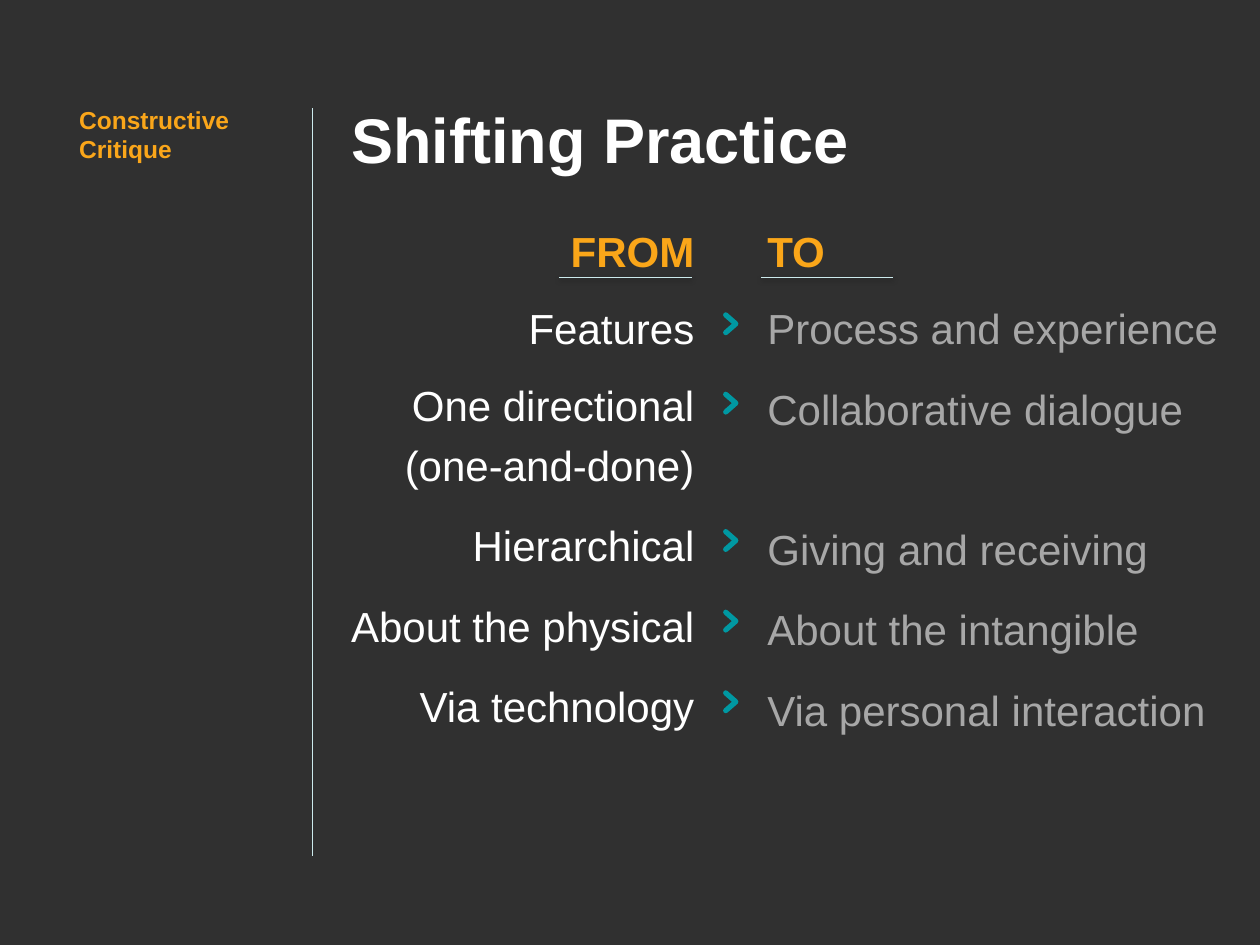
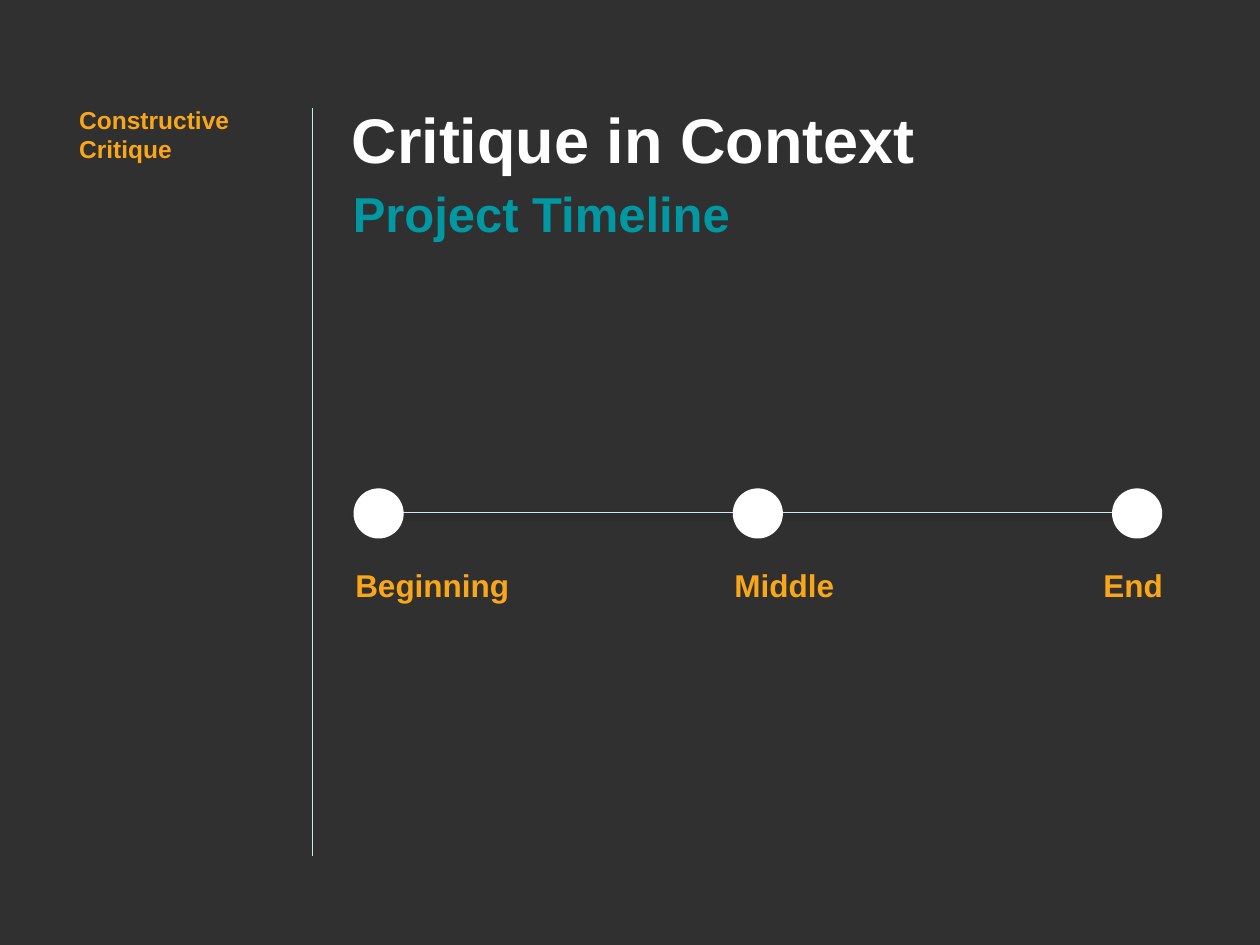
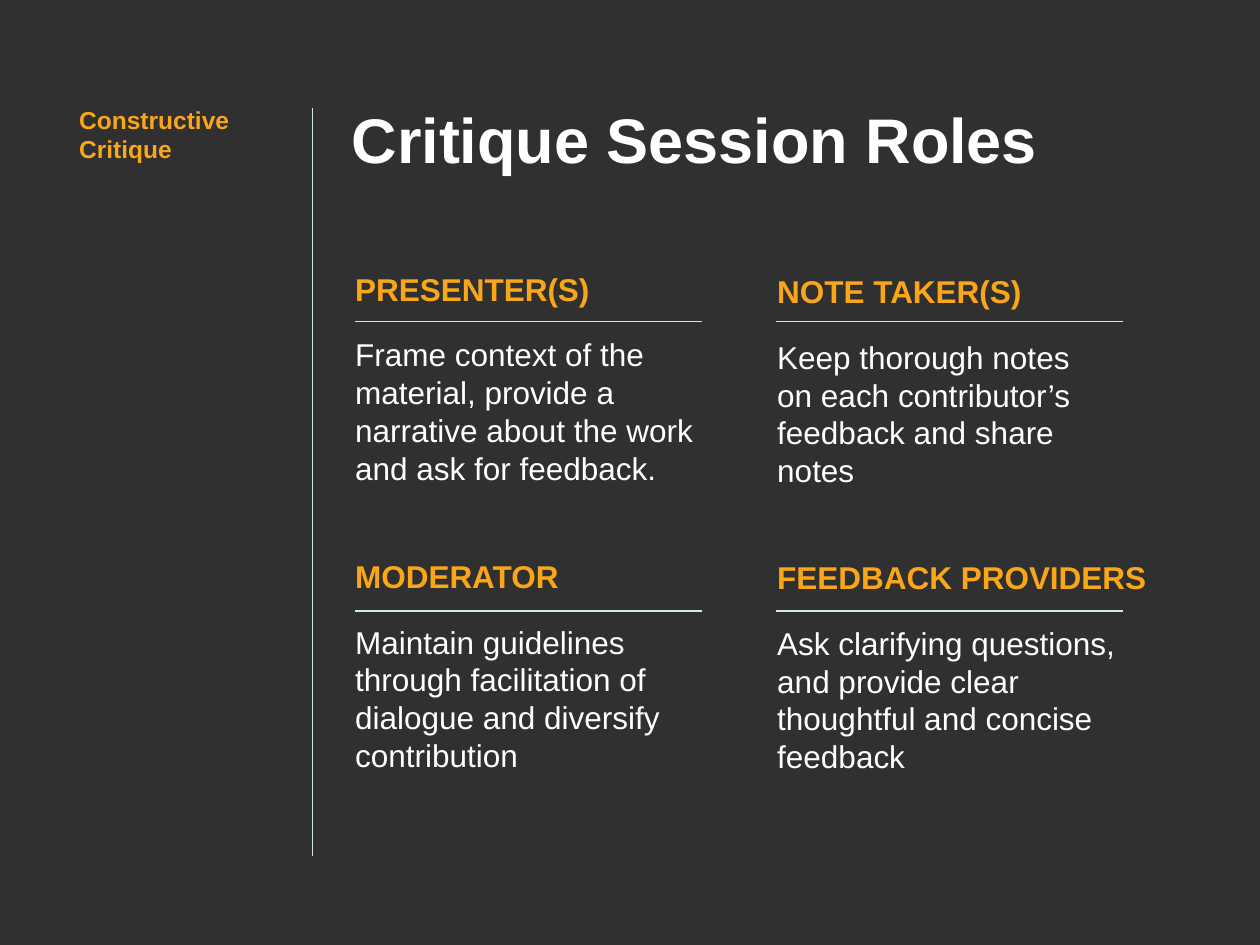
from dataclasses import dataclass

from lxml.etree import SubElement
from pptx import Presentation
from pptx.dml.color import RGBColor
from pptx.enum.shapes import MSO_CONNECTOR, MSO_SHAPE
from pptx.enum.text import MSO_ANCHOR, PP_ALIGN
from pptx.oxml.ns import qn
from pptx.util import Inches, Pt

FONT = "Arial"
BACKGROUND = "303030"
WHITE = "FFFFFF"
GREY = "A7A7A7"
ORANGE = "FAA619"
TAG_ORANGE = "FAA61A"
TEAL = "0098A2"
RULE = "CCEAEC"


@dataclass
class Para:
    text: str
    color: str = WHITE
    bold: bool = False
    before: float = 0


@dataclass
class TextBlock:
    left: float
    top: float
    width: float
    height: float
    paras: list[Para]
    size: float = 18
    inset_x: float = 0.1
    inset_y: float = 0.1
    align: PP_ALIGN = PP_ALIGN.LEFT
    leading: float | None = None


def rgb(color: str) -> RGBColor:
    return RGBColor.from_string(color)


def style_font(font, size: float, color: str, bold: bool) -> None:
    font.name = FONT
    font.size = Pt(size)
    font.bold = bold
    font.color.rgb = rgb(color)


def set_insets(tf, x: float, y: float) -> None:
    tf.margin_left = tf.margin_right = Inches(x)
    tf.margin_top = tf.margin_bottom = Inches(y)


def add_text(s, block: TextBlock) -> None:
    box = s.shapes.add_textbox(Inches(block.left), Inches(block.top),
                               Inches(block.width), Inches(block.height))
    tf = box.text_frame
    tf.word_wrap = True
    set_insets(tf, block.inset_x, block.inset_y)
    for i, para in enumerate(block.paras):
        p = tf.add_paragraph() if i else tf.paragraphs[0]
        p.text = para.text
        p.alignment = block.align
        p.space_before = Pt(para.before)
        if block.leading:
            p.line_spacing = Pt(block.leading)
        style_font(p.runs[0].font, block.size, para.color, para.bold)


def add_rule(s, x1: float, y1: float, x2: float, y2: float, shadow: bool = False) -> None:
    rule = s.shapes.add_connector(MSO_CONNECTOR.STRAIGHT, Inches(x1), Inches(y1),
                                  Inches(x2), Inches(y2))
    rule.line.color.rgb = rgb(RULE)
    rule.line.width = Pt(0.75)
    effects = SubElement(rule._element.spPr, qn("a:effectLst"))
    if shadow:
        outer = SubElement(effects, qn("a:outerShdw"), blurRad=str(Pt(3)), dist=str(Pt(1.6)),
                           dir="5400000", rotWithShape="0")
        black = SubElement(outer, qn("a:srgbClr"), val="000000")
        SubElement(black, qn("a:alpha"), val="38000")


def add_chevron(s, left: float, top: float) -> None:
    builder = s.shapes.build_freeform(Inches(left), Inches(top))
    builder.add_line_segments([(Inches(left + 0.08), Inches(top + 0.07)),
                               (Inches(left), Inches(top + 0.14))], close=False)
    chevron = builder.convert_to_shape()
    chevron.shadow.inherit = False
    chevron.fill.background()
    chevron.line.color.rgb = rgb(TEAL)
    chevron.line.width = Pt(3)
    chevron.line._get_or_add_ln().set("cap", "rnd")


def add_dot(s, left: float, top: float, size: float) -> None:
    dot = s.shapes.add_shape(MSO_SHAPE.OVAL, Inches(left), Inches(top),
                             Inches(size), Inches(size))
    dot.shadow.inherit = False
    dot.fill.solid()
    dot.fill.fore_color.rgb = rgb(WHITE)
    dot.line.color.rgb = rgb(WHITE)
    dot.line.width = Pt(2)


def new_slide(prs, title: str):
    """Add a slide with the title, side tag and vertical divider all slides share."""
    s = prs.slides.add_slide(prs.slide_layouts[5])
    sp = s.shapes.title
    sp.left, sp.top = Inches(2.69), Inches(0.68)
    sp.width, sp.height = Inches(6.17), Inches(0.84)
    tf = sp.text_frame
    tf.text = title
    tf.word_wrap = True
    tf.vertical_anchor = MSO_ANCHOR.MIDDLE
    set_insets(tf, 0.1, 0.1)
    p = tf.paragraphs[0]
    p.alignment = PP_ALIGN.LEFT
    style_font(p.runs[0].font, 36, WHITE, True)
    add_text(s, TextBlock(0.53, 0.73, 1.79, 0.67,
                          [Para("Constructive Critique", TAG_ORANGE, True)], size=14))
    add_rule(s, 2.48, 0.86, 2.48, 6.79)
    return s


def build_shifting_practice(prs) -> None:
    s = new_slide(prs, "Shifting Practice")
    for x in (4.44, 6.04):
        add_rule(s, x, 2.2, x + 1.05, 2.2, shadow=True)
    from_paras = [
        Para("FROM", ORANGE, True),
        Para("Features", before=10),
        Para("One directional (one-and-done)", before=10),
        Para("Hierarchical", before=12),
        Para("About the physical", before=12),
        Para("Via technology", before=12),
    ]
    leading = 34
    to_paras = [
        Para("TO", ORANGE, True),
        Para("Process and experience", GREY, before=10),
        Para("Collaborative dialogue", GREY, before=12),
        Para("Giving and receiving", GREY, before=12 + leading),
        Para("About the intangible", GREY, before=12),
        Para("Via personal interaction", GREY, before=12),
    ]
    add_text(s, TextBlock(2.69, 1.72, 2.82, 1.55, from_paras, 24, 0, 0,
                          PP_ALIGN.RIGHT, leading))
    add_text(s, TextBlock(6.09, 1.72, 4.01, 1.55, to_paras, 24, 0, 0, leading=leading))
    for top in (2.5, 3.13, 4.22, 4.86, 5.5):
        add_chevron(s, 5.76, top)


def build_timeline(prs) -> None:
    s = new_slide(prs, "Critique in Context")
    add_text(s, TextBlock(2.75, 1.41, 3.18, 0.57, [Para("Project Timeline", TEAL, True)],
                          28, 0.05, 0.05))
    add_rule(s, 2.82, 4.07, 9.21, 4.07, shadow=True)
    stages = [
        ("Beginning", 2.77, PP_ALIGN.LEFT),
        ("Middle", 5.39, PP_ALIGN.CENTER),
        ("End", 7.61, PP_ALIGN.RIGHT),
    ]
    for i, (label, left, align) in enumerate(stages):
        add_dot(s, 2.82 + 3.01 * i, 3.89, 0.37)
        add_text(s, TextBlock(left, 4.44, 1.67, 0.4, [Para(label, ORANGE, True)],
                              18, 0.05, 0.05, align))


def build_roles(prs) -> None:
    s = new_slide(prs, "Critique Session Roles")

    def role(name: str, duty: str) -> list[Para]:
        return [Para(name, ORANGE, True), Para(duty, before=16)]

    blocks = [
        TextBlock(2.72, 2.04, 3.21, 3.71, role(
            "PRESENTER(S)",
            "Frame context of the material, provide a narrative about the work "
            "and ask for feedback.")),
        TextBlock(6.07, 2.11, 2.81, 1.84, role(
            "NOTE TAKER(S)",
            "Keep thorough notes on each contributor’s feedback and share notes"),
            inset_y=0.05),
        TextBlock(2.72, 4.32, 3.21, 2.24, role(
            "MODERATOR",
            "Maintain guidelines through facilitation of dialogue and diversify contribution")),
        TextBlock(6.07, 4.38, 3.21, 1.84, role(
            "FEEDBACK PROVIDERS",
            "Ask clarifying questions, and provide clear thoughtful and concise feedback"),
            inset_y=0.05),
    ]
    for block in blocks:
        add_text(s, block)
    for x in (2.82, 6.16):
        for y in (2.55, 4.85):
            add_rule(s, x, y, x + 2.75, y)


def main() -> None:
    prs = Presentation()
    prs.slide_width, prs.slide_height = Inches(10), Inches(7.5)
    fill = prs.slide_master.background.fill
    fill.solid()
    fill.fore_color.rgb = rgb(BACKGROUND)
    build_shifting_practice(prs)
    build_timeline(prs)
    build_roles(prs)
    prs.save("out.pptx")


if __name__ == "__main__":
    main()
